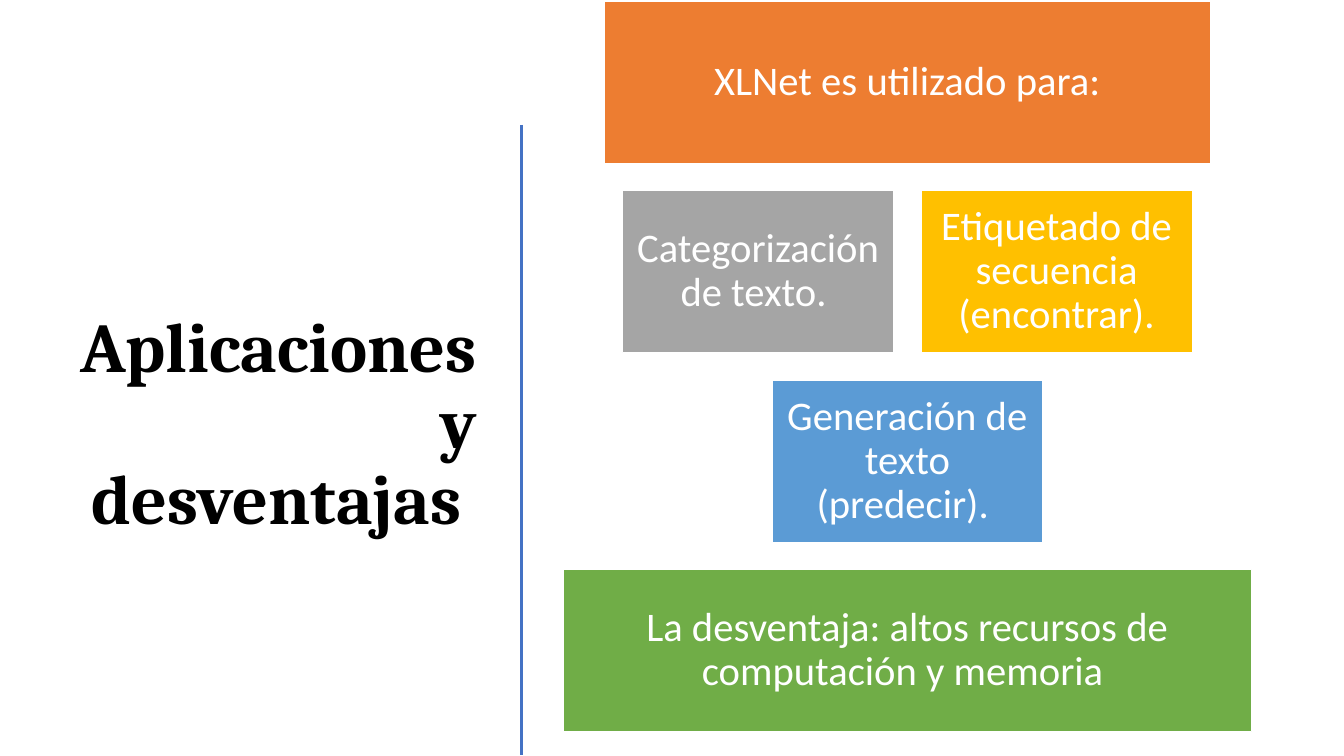
from pptx import Presentation
from pptx.dml.color import RGBColor
from pptx.enum.shapes import MSO_CONNECTOR as LINE, MSO_SHAPE as SHAPE
from pptx.enum.text import MSO_ANCHOR as ANCHOR, PP_ALIGN as ALIGN
from pptx.util import Inches, Pt
from lxml.etree import SubElement


def color(code):
    """Turn a hex string into a colour."""
    return RGBColor.from_string(code)


def write(shape, text, font="Calibri", size=29, ink="FFFFFF", bold=False,
          align=ALIGN.CENTER, inset=0.12):
    """Put formatted, vertically centred text into a shape."""
    frame = shape.text_frame
    frame.word_wrap = True
    frame.vertical_anchor = ANCHOR.MIDDLE
    frame.margin_left = frame.margin_right = Inches(inset)
    frame.margin_top = frame.margin_bottom = Inches(inset)
    para = frame.paragraphs[0]
    para.alignment = align
    para.line_spacing = 0.9
    run = para.add_run()
    run.text = text
    run.font.name = font
    run.font.size = Pt(size)
    run.font.bold = bold
    run.font.color.rgb = color(ink)


deck = Presentation()
deck.slide_width, deck.slide_height = Inches(13.33), Inches(7.5)
slide = deck.slides.add_slide(deck.slide_layouts[6])
shapes = slide.shapes

# Title and divider
title = shapes.add_textbox(Inches(0.52), Inches(1.17), Inches(4.31), Inches(6.11))
write(title, "Aplicaciones y desventajas ", font="Cambria", size=50,
      ink="000000", bold=True, align=ALIGN.RIGHT, inset=0.1)

rule = shapes.add_connector(LINE.STRAIGHT, Inches(5.17), Inches(1.24),
                            Inches(5.17), Inches(7.49))
rule.line.color.rgb = color("4472C4")
rule.line.width = Pt(2)
SubElement(rule.element.spPr,
           "{http://schemas.openxmlformats.org/drawingml/2006/main}effectLst")

# Rows of boxes, each row centred on the same axis
axis, top, high, gap = 9.0, 0.01, 1.61, 0.27
rows = [
    (6.02, [("XLNet es utilizado para:", "ED7D31")]),
    (2.69, [("Categorización de texto. ", "A5A5A5"),
            ("Etiquetado de secuencia (encontrar).", "FFC000")]),
    (2.69, [("Generación de texto (predecir). ", "5B9BD5")]),
    (6.83, [("La desventaja: altos recursos de computación y memoria ",
             "70AD47")]),
]
for row, (wide, cells) in enumerate(rows):
    span = len(cells) * (wide + gap) - gap
    for col, (text, fill) in enumerate(cells):
        left = axis - span / 2 + col * (wide + gap)
        box = shapes.add_shape(SHAPE.RECTANGLE, Inches(left),
                               Inches(top + row * (high + gap)),
                               Inches(wide), Inches(high))
        box.shadow.inherit = False
        box.fill.solid()
        box.fill.fore_color.rgb = color(fill)
        box.line.color.rgb = color("FFFFFF")
        box.line.width = Pt(1)
        write(box, text)

deck.save("out.pptx")
